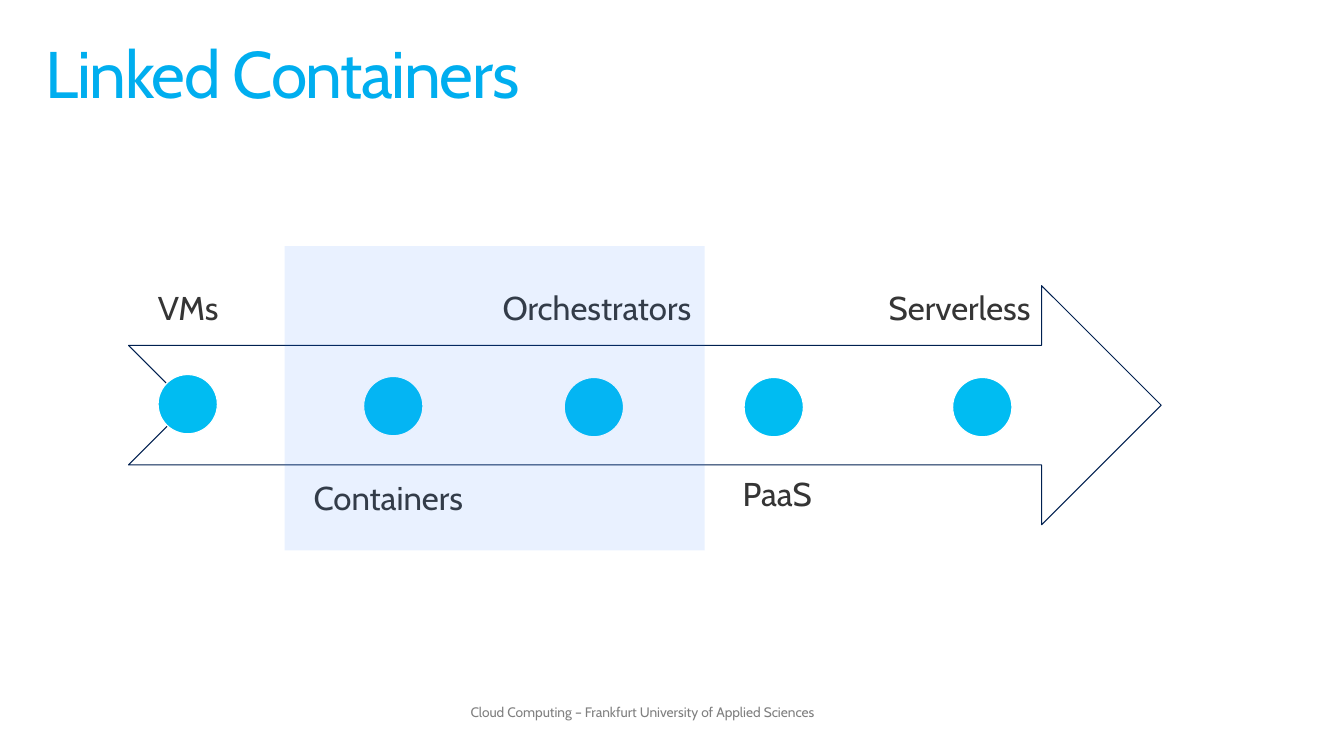
from dataclasses import dataclass

import pptx
import pptx.dml.color
import pptx.enum.shapes
import pptx.enum.text
import pptx.oxml.ns
import pptx.util
from lxml import etree

Inches = pptx.util.Inches
Shape = pptx.enum.shapes.MSO_SHAPE
Anchor = pptx.enum.text.MSO_ANCHOR
Align = pptx.enum.text.PP_ALIGN

COLORS = {
    "title": "00AEEF",
    "label": "353535",
    "footer": "808080",
    "arrow": "002050",
    "dot": "00BCF2",
    "dot_edge": "FFFFFF",
    "highlight": "287EFF",
}
FONT = "Cabin"
DOT_SIZE = 0.6
LABEL_HEIGHT = 2.42
LABEL_INSET = 0.19


@dataclass(frozen=True)
class Box:
    left: float
    top: float
    width: float
    height: float


@dataclass(frozen=True)
class Stage:
    name: str
    label_left: float
    label_top: float
    label_width: float
    dot_left: float
    dot_top: float
    anchor: Anchor


STAGES = [
    Stage("VMs", 1.3, 1.07, 1.21, 1.6, 3.79, Anchor.BOTTOM),
    Stage("Containers", 2.9, 4.7, 2.06, 3.68, 3.81, Anchor.TOP),
    Stage("Orchestrators", 4.69, 1.07, 2.7, 5.71, 3.82, Anchor.BOTTOM),
    Stage("PaaS", 7.26, 4.66, 1.21, 7.53, 3.82, Anchor.TOP),
    Stage("Serverless", 8.72, 1.07, 1.98, 9.64, 3.82, Anchor.BOTTOM),
]


def rgb(name: str) -> pptx.dml.color.RGBColor:
    return pptx.dml.color.RGBColor.from_string(COLORS[name])


def add_preset(s, kind: Shape, box: Box, fill: str = "", line: str = "",
               line_width: float = 0.75):
    """Add a shadowless shape; an empty colour name means no fill or no line."""
    sp = s.shapes.add_shape(kind, Inches(box.left), Inches(box.top),
                            Inches(box.width), Inches(box.height))
    sp.shadow.inherit = False
    if fill:
        sp.fill.solid()
        sp.fill.fore_color.rgb = rgb(fill)
    else:
        sp.fill.background()
    if line:
        sp.line.color.rgb = rgb(line)
        sp.line.width = pptx.util.Pt(line_width)
    else:
        sp.line.fill.background()
    return sp


def set_opacity(sp, percent: int) -> None:
    qn = pptx.oxml.ns.qn
    color = sp.fill._xPr.find(qn("a:solidFill")).find(qn("a:srgbClr"))
    etree.SubElement(color, qn("a:alpha"), val=str(percent * 1000))


def add_text(s, box: Box, text: str, size: float, color: str, inset_x: float,
             inset_y: float, anchor: Anchor, align: Align,
             line_spacing: float = 0.9):
    """Add a one-paragraph text box and return its paragraph."""
    sp = s.shapes.add_textbox(Inches(box.left), Inches(box.top),
                              Inches(box.width), Inches(box.height))
    tf = sp.text_frame
    tf.word_wrap = True
    tf.vertical_anchor = anchor
    tf.margin_left = tf.margin_right = Inches(inset_x)
    tf.margin_top = tf.margin_bottom = Inches(inset_y)
    p = tf.paragraphs[0]
    p.text = text
    p.alignment = align
    p.line_spacing = line_spacing
    p.font.name = FONT
    p.font.size = pptx.util.Pt(size)
    p.font.color.rgb = rgb(color)
    return p


def add_stage(s, stage: Stage) -> None:
    label = Box(stage.label_left, stage.label_top, stage.label_width, LABEL_HEIGHT)
    add_text(s, label, stage.name, 24, "label", LABEL_INSET, LABEL_INSET,
             stage.anchor, Align.CENTER)
    dot = Box(stage.dot_left, stage.dot_top, DOT_SIZE, DOT_SIZE)
    add_preset(s, Shape.OVAL, dot, "dot", "dot_edge", 0.85)


def main() -> None:
    prs = pptx.Presentation()
    prs.slide_width, prs.slide_height = Inches(13.6), Inches(7.65)
    s = prs.slides.add_slide(prs.slide_layouts[6])

    add_preset(s, Shape.NOTCHED_RIGHT_ARROW, Box(1.3, 2.89, 10.45, 2.42), line="arrow")
    for stage in STAGES:
        add_stage(s, stage)
    highlight = add_preset(s, Shape.RECTANGLE, Box(2.88, 2.49, 4.25, 3.08), "highlight")
    set_opacity(highlight, 10)

    title = add_text(s, Box(0.3, 0.32, 13, 1), "Linked Containers", 48, "title",
                     0.16, 0.1, Anchor.TOP, Align.LEFT)
    title.runs[0].font._element.set("spc", "-100")
    add_text(s, Box(4.28, 7.01, 4.44, 0.4),
             "Cloud Computing – Frankfurt University of Applied Sciences",
             10, "footer", 0.2, 0.05, Anchor.MIDDLE, Align.CENTER, 1.0)

    prs.save("out.pptx")


if __name__ == "__main__":
    main()
